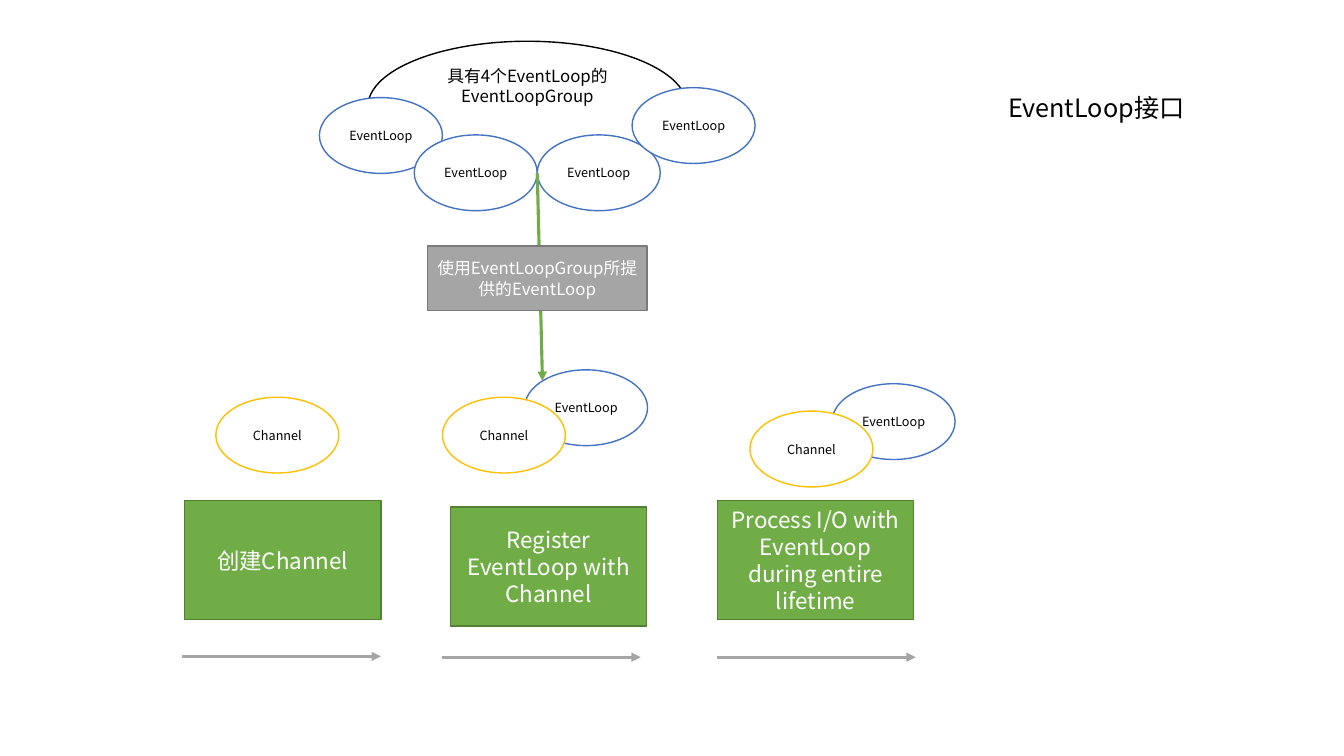
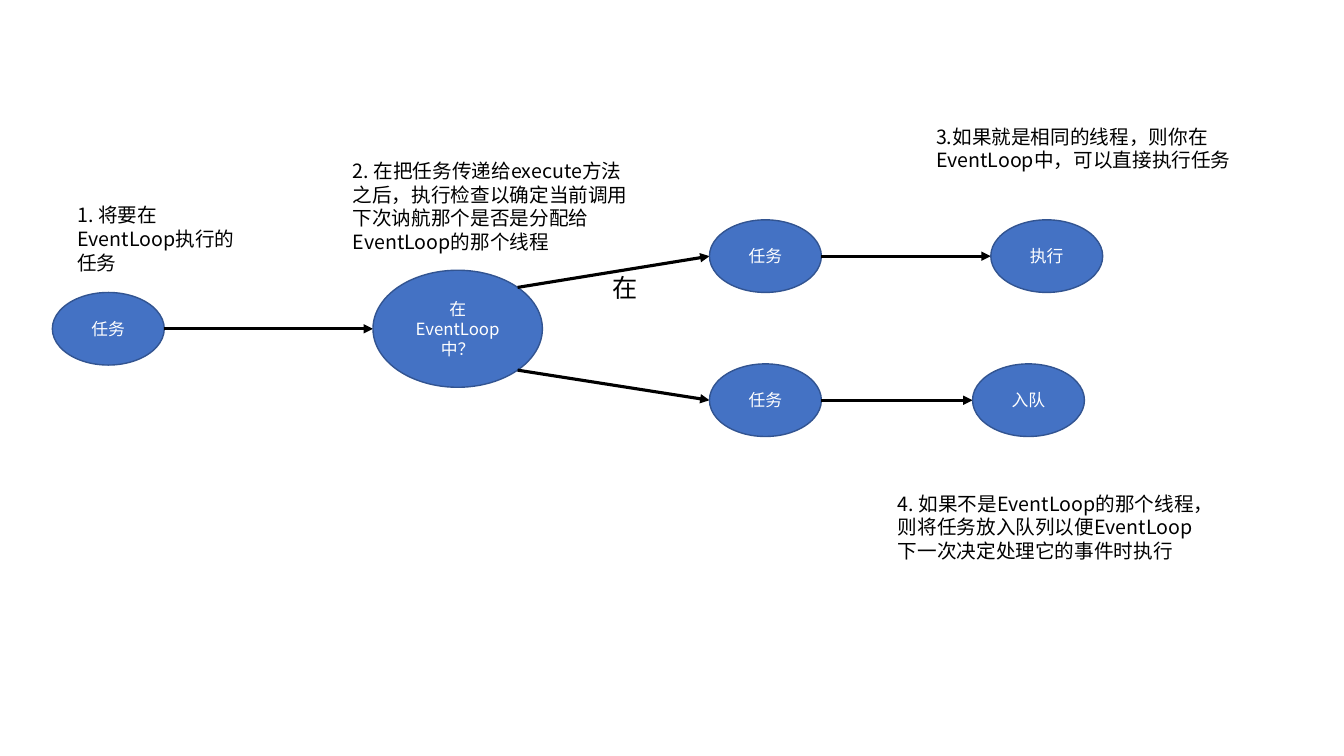
"""Build two slides that explain the EventLoop interface and its task flow."""
from math import sqrt

from lxml.etree import SubElement
from pptx import Presentation
from pptx.dml.color import RGBColor
from pptx.enum.shapes import MSO_CONNECTOR as Connector, MSO_SHAPE as Preset
from pptx.enum.text import MSO_ANCHOR as Anchor, MSO_AUTO_SIZE as AutoSize, PP_ALIGN as Align
from pptx.oxml.ns import qn
from pptx.util import Cm, Pt

FONT = "Noto Sans CJK SC"
BLACK, WHITE = "000000", "FFFFFF"
BLUE, DARK_BLUE = "4472C4", "325491"
GREEN, DARK_GREEN = "70AD47", "538035"
GRAY, DARK_GRAY = "A5A5A5", "7A7A7A"
YELLOW = "FFC000"

OVAL = (3.1, 1.91)
NODE = (2.82, 1.83)
STEP = (4.95, 3)
DECISION = (4.27, 2.95)


def color(value):
    return RGBColor.from_string(value)


def write_text(shape, text, size, font_color, align, anchor):
    frame = shape.text_frame
    frame.text = text
    frame.word_wrap = True
    frame.vertical_anchor = anchor
    paragraph = frame.paragraphs[0]
    paragraph.alignment = align
    for run in paragraph.runs:
        run.font.name = FONT
        run.font.size = Pt(size)
        run.font.color.rgb = color(font_color)
        SubElement(run.font._element, qn("a:ea"), typeface=FONT)


def add_box(slide, preset, position, size, text, text_size, fill, line,
            font_color=WHITE, anchor=Anchor.MIDDLE):
    shape = slide.shapes.add_shape(preset, *map(Cm, position + size))
    shape.shadow.inherit = False
    shape.fill.solid()
    shape.fill.fore_color.rgb = color(fill)
    shape.line.color.rgb = color(line)
    shape.line.width = Pt(1)
    write_text(shape, text, text_size, font_color, Align.CENTER, anchor)


def add_event_loop(slide, position):
    add_box(slide, Preset.OVAL, position, OVAL, "EventLoop", 9, WHITE, BLUE, BLACK)


def add_channel(slide, position):
    add_box(slide, Preset.OVAL, position, OVAL, "Channel", 9, WHITE, YELLOW, BLACK)


def add_registered_channel(slide, position):
    left, top = position
    add_event_loop(slide, (left + 2.07, top - 0.69))
    add_channel(slide, position)


def add_node(slide, position, text, size=NODE):
    add_box(slide, Preset.OVAL, position, size, text, 12, BLUE, DARK_BLUE)


def add_arrow(slide, start, end, line_color):
    arrow = slide.shapes.add_connector(Connector.STRAIGHT, *map(Cm, start + end))
    arrow.line.color.rgb = color(line_color)
    arrow.line.width = Pt(2.25)
    SubElement(arrow.line._get_or_add_ln(), qn("a:tailEnd"), type="triangle")
    SubElement(arrow._element.spPr, qn("a:effectLst"))


def add_note(slide, bounds, text, size=14):
    note = slide.shapes.add_textbox(*map(Cm, bounds))
    write_text(note, text, size, BLACK, Align.LEFT, Anchor.TOP)
    note.text_frame.auto_size = AutoSize.SHAPE_TO_FIT_TEXT
    return note


def set_title(slide, bounds, text):
    title = slide.shapes.title
    title.left, title.top, title.width, title.height = map(Cm, bounds)
    write_text(title, text, 18, BLACK, Align.LEFT, Anchor.TOP)
    title.text_frame.auto_size = AutoSize.NONE


def build_interface_slide(presentation):
    slide = presentation.slides.add_slide(presentation.slide_layouts[5])
    set_title(slide, (25.15, 2.21, 6.07, 1.02), "EventLoop接口")

    add_box(slide, Preset.OVAL, (9.27, 1.04), (8.05, 3.3),
            "具有4个EventLoop的EventLoopGroup", 12, WHITE, BLACK, BLACK, Anchor.TOP)
    for position in ((8.05, 2.46), (10.44, 3.4), (13.54, 3.4), (15.93, 2.21)):
        add_event_loop(slide, position)

    add_arrow(slide, (13.54, 4.37), (13.67, 9.6), GREEN)
    add_box(slide, Preset.RECTANGLE, (10.77, 6.2), (5.54, 1.63),
            "使用EventLoopGroup所提供的EventLoop", 12, GRAY, DARK_GRAY)

    add_channel(slide, (5.44, 10.01))
    add_registered_channel(slide, (11.15, 10.01))
    add_registered_channel(slide, (18.9, 10.36))

    steps = (
        ("创建Channel", (4.65, 12.62), (4.6, 16.54)),
        ("Register EventLoop with Channel", (11.35, 12.78), (11.15, 16.56)),
        ("Process I/O with EventLoop during entire lifetime", (18.08, 12.62), (18.08, 16.56)),
    )
    for text, position, arrow_start in steps:
        add_box(slide, Preset.RECTANGLE, position, STEP, text, 16, GREEN, DARK_GREEN)
        left, top = arrow_start
        add_arrow(slide, arrow_start, (left + 5, top), GRAY)


def build_task_slide(presentation):
    slide = presentation.slides.add_slide(presentation.slide_layouts[6])
    node_width, node_height = NODE
    decision_left, decision_top = 9.4, 6.81
    decision_width, decision_height = DECISION
    middle = decision_top + decision_height / 2
    exit_left = decision_left + decision_width / 2 * (1 + 1 / sqrt(2))
    exit_rise = decision_height / 2 / sqrt(2)
    task_left, branch_left = 1.32, 17.88

    add_node(slide, (task_left, middle - node_height / 2), "任务")
    add_arrow(slide, (task_left + node_width, middle), (decision_left, middle), BLACK)
    add_node(slide, (decision_left, decision_top), "在EventLoop中？", DECISION)

    branches = ((-1, 5.54, 24.97, "执行"), (1, 9.17, 24.51, "入队"))
    for direction, top, result_left, result in branches:
        center = top + node_height / 2
        add_arrow(slide, (exit_left, middle + direction * exit_rise), (branch_left, center), BLACK)
        add_node(slide, (branch_left, top), "任务")
        add_arrow(slide, (branch_left + node_width, center), (result_left, center), BLACK)
        add_node(slide, (result_left, top), result)

    notes = (
        ((1.7, 5, 4.88, 2.06), "1. 将要在EventLoop执行的任务"),
        ((8.64, 3.89, 7.57, 2.74),
         "2. 在把任务传递给execute方法之后，执行检查以确定当前调用下次讷航那个是否是分配给EventLoop的那个线程"),
        ((23.34, 3.02, 7.98, 2.06),
         "3.如果就是相同的线程，则你在EventLoop中，可以直接执行任务"),
        ((22.38, 12.27, 7.98, 2.74),
         "4. 如果不是EventLoop的那个线程，则将任务放入队列以便EventLoop下一次决定处理它的事件时执行"),
    )
    for bounds, text in notes:
        add_note(slide, bounds, text)
    branch_label = add_note(slide, (15.19, 6.73, 1.14, 1.02), "在", 18)
    branch_label.text_frame.word_wrap = False


def main():
    presentation = Presentation()
    presentation.slide_width, presentation.slide_height = Cm(33.87), Cm(19.05)
    build_interface_slide(presentation)
    build_task_slide(presentation)
    presentation.save("out.pptx")


main()
